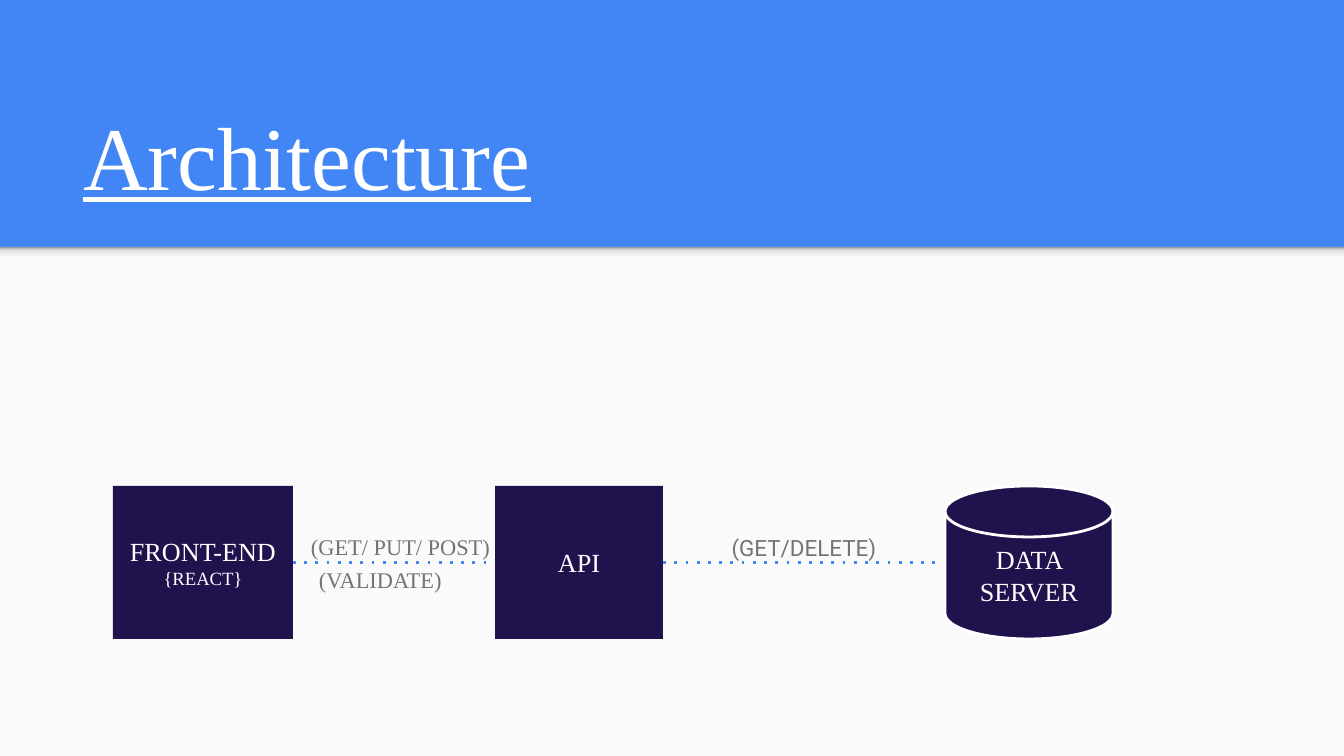
from copy import deepcopy

from pptx import Presentation
from pptx.dml.color import RGBColor
from pptx.enum.dml import MSO_LINE
from pptx.enum.shapes import MSO_CONNECTOR, MSO_SHAPE
from pptx.enum.text import MSO_ANCHOR, PP_ALIGN
from pptx.oxml.ns import qn
from pptx.oxml.xmlchemy import OxmlElement
from pptx.util import Pt

WIDE, HIGH = 1344, 756
SCALE = 9144000 / WIDE
RECT = MSO_SHAPE.RECTANGLE
DISK = MSO_SHAPE.FLOWCHART_MAGNETIC_DISK
LEFT, CENTER = PP_ALIGN.LEFT, PP_ALIGN.CENTER
TOP, MIDDLE, BOTTOM = MSO_ANCHOR.TOP, MSO_ANCHOR.MIDDLE, MSO_ANCHOR.BOTTOM
STRAIGHT, DOTS = MSO_CONNECTOR.STRAIGHT, MSO_LINE.ROUND_DOT
SERIF, SANS = "Times New Roman", "Roboto"
COLORS = {"blue": "4285F4", "paper": "FAFAFA", "navy": "20124D",
          "white": "FFFFFF", "gray": "737373"}
SHADE = [(0, "F9F9F9"), (0.36, "F9F9F9"), (0.8, "DEDEDE"), (1, "999999")]
BAND = 247
ROW, TALL = 486, 153


def px(n):
    return round(n * SCALE)


def rgb(name):
    return RGBColor.from_string(COLORS[name])


def write(shape, lines, color, anchor=TOP, align=LEFT, font=SERIF):
    """Fill a shape with (text, size) lines."""
    frame = shape.text_frame
    frame.word_wrap = True
    frame.vertical_anchor = anchor
    frame.margin_left = frame.margin_right = px(13)
    frame.margin_top = frame.margin_bottom = px(13)
    frame.text = "\n".join(text for text, _ in lines)
    for para, (_, size) in zip(frame.paragraphs, lines):
        para.alignment = align
        for run in para.runs:
            run.font.name = font
            run.font.size = Pt(size)
            run.font.color.rgb = rgb(color)


def add_block(slide, kind, x, y, w, h, color):
    shape = slide.shapes.add_shape(kind, px(x), px(y), px(w), px(h))
    shape.shadow.inherit = False
    shape.fill.solid()
    shape.fill.fore_color.rgb = rgb(color)
    shape.line.fill.background()
    return shape


def add_shade(slide):
    """Draw the soft edge below the title band, darkest at its top."""
    edge = add_block(slide, RECT, 0, BAND, WIDE, 16, "paper")
    edge.fill.gradient()
    edge.fill.gradient_angle = 90
    holder = edge._element.spPr.find(qn("a:gradFill")).find(qn("a:gsLst"))
    for _ in range(len(SHADE) - len(holder)):
        holder.append(deepcopy(holder[0]))
    for stop, (place, color) in zip(edge.fill.gradient_stops, SHADE):
        stop.position = place
        stop.color.rgb = RGBColor.from_string(color)


def add_title(slide, text):
    title = slide.shapes.title
    title.left, title.top = px(70), px(108)
    title.width, title.height = px(1208), px(113)
    write(title, [(text, 48)], "white", BOTTOM)
    title.text_frame.paragraphs[0].runs[0].font.underline = True
    # Bring the title in front of the background
    slide.shapes._spTree.append(title._element)


def add_link(slide, start, end):
    y = px(ROW + TALL / 2)
    link = slide.shapes.add_connector(STRAIGHT, px(start), y, px(end), y)
    link.line.color.rgb = rgb("blue")
    link.line.width = Pt(1.5)
    link.line.dash_style = DOTS
    props = link._element.spPr
    # The wide-spaced dot has no enum member
    props.find(qn("a:ln")).find(qn("a:prstDash")).set("val", "dot")
    props.append(OxmlElement("a:effectLst"))


def add_node(slide, kind, x, w, lines):
    node = add_block(slide, kind, x, ROW, w, TALL, "navy")
    write(node, lines, "white", MIDDLE, CENTER)
    return node


def add_label(slide, x, y, w, text, align=LEFT, font=SERIF):
    box = slide.shapes.add_textbox(px(x), px(y), px(w), px(33))
    write(box, [(text, 12)], "gray", align=align, font=font)


def main():
    deck = Presentation()
    deck.slide_width, deck.slide_height = px(WIDE), px(HIGH)
    slide = deck.slides.add_slide(deck.slide_layouts[5])
    slide.background.fill.solid()
    slide.background.fill.fore_color.rgb = rgb("blue")

    add_block(slide, RECT, 0, BAND, WIDE, HIGH - BAND, "paper")
    add_shade(slide)
    add_title(slide, "Architecture")

    add_link(slide, 293, 945)
    add_node(slide, RECT, 113, 180, [("FRONT-END", 14), ("{REACT}", 10)])
    add_node(slide, RECT, 495, 168, [("API", 14)])
    store = add_node(slide, DISK, 945, 168, [("DATA SERVER", 14)])
    store.line.color.rgb = rgb("white")
    store.line.width = Pt(1.5)

    add_label(slide, 298, 520, 214, "(GET/ PUT/ POST)")
    add_label(slide, 306, 553, 183, "(VALIDATE)")
    add_label(slide, 689, 521, 230, "(GET/DELETE)", CENTER, SANS)
    deck.save("out.pptx")


if __name__ == "__main__":
    main()
